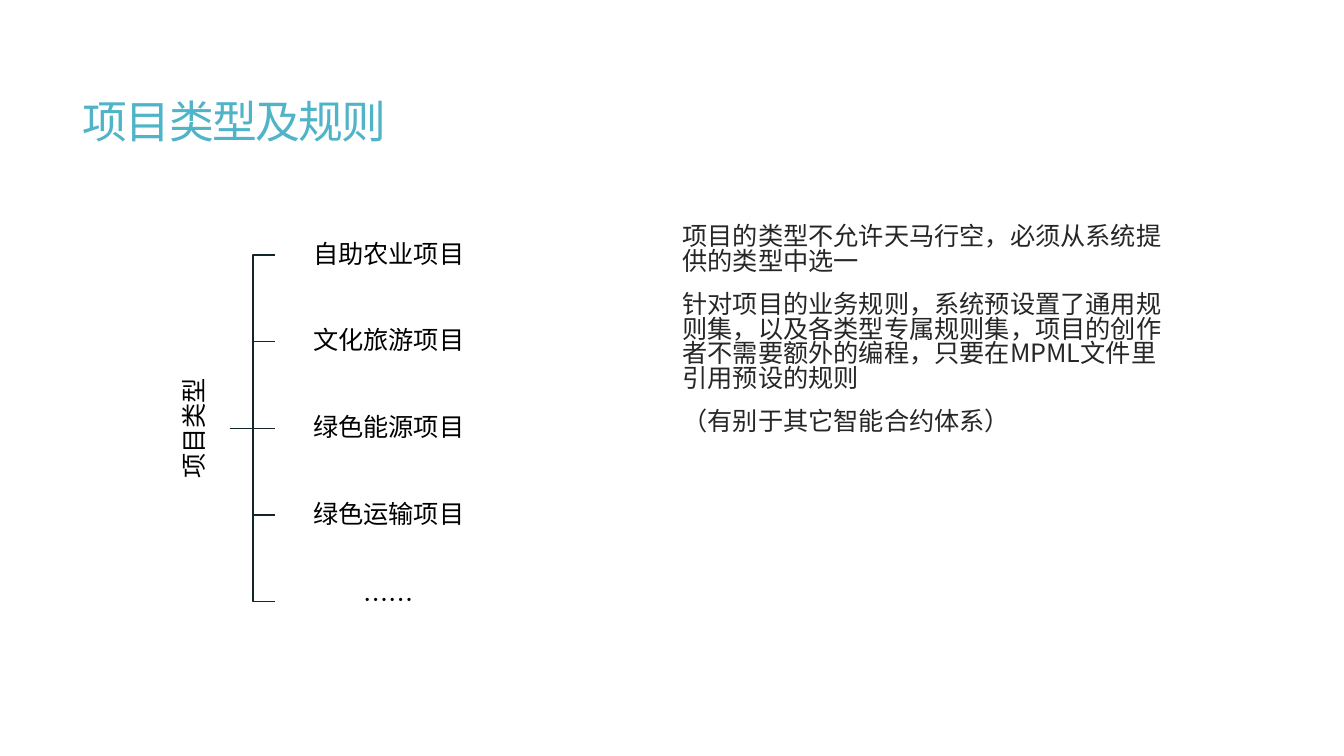
from dataclasses import dataclass

from lxml.etree import SubElement
from pptx import Presentation
from pptx.dml.color import RGBColor
from pptx.enum.shapes import MSO_CONNECTOR, MSO_SHAPE
from pptx.enum.text import MSO_ANCHOR, PP_ALIGN
from pptx.oxml.ns import qn
from pptx.shapes.autoshape import Shape
from pptx.slide import Slide
from pptx.text.text import _Paragraph
from pptx.util import Inches, Pt


@dataclass(frozen=True)
class Theme:
    font: str = "Noto Sans CJK SC"
    title: RGBColor = RGBColor(0x50, 0xB4, 0xC8)
    body: RGBColor = RGBColor(0x26, 0x26, 0x26)
    label: RGBColor = RGBColor(0, 0, 0)
    line: RGBColor = RGBColor(0x12, 0x26, 0x29)
    box: RGBColor = RGBColor(0xFF, 0xFF, 0xFF)
    title_size: int = 32
    text_size: int = 18


@dataclass(frozen=True)
class Node:
    text: str
    left: float
    top: float
    width: float
    height: float
    rotation: int = 0


THEME = Theme()

# Tree geometry in inches
ROOT_X, SPINE_X, LEAF_X = 2.28, 2.51, 2.73
MIDDLE_Y, STEP, NODE_H = 4.25, 0.86, 0.69
LEAF_W, ROOT_W = 2.25, 3.61

TYPES = ["自助农业项目", "文化旅游项目", "绿色能源项目", "绿色运输项目", "……"]
MIDDLE = len(TYPES) // 2
RULES = [
    "项目的类型不允许天马行空，必须从系统提供的类型中选一",
    "针对项目的业务规则，系统预设置了通用规则集，以及各类型专属规则集，"
    "项目的创作者不需要额外的编程，只要在MPML文件里引用预设的规则",
    "（有别于其它智能合约体系）",
]


def add_run(p: _Paragraph, text: str, size: int, color: RGBColor) -> None:
    r = p.add_run()
    r.text = text
    r.font.size = Pt(size)
    r.font.name = THEME.font
    r.font.color.rgb = color
    rPr = r.font._element
    SubElement(rPr, qn("a:ea")).set("typeface", THEME.font)


def add_node(s: Slide, node: Node) -> Shape:
    sp = s.shapes.add_shape(
        MSO_SHAPE.RECTANGLE, Inches(node.left), Inches(node.top),
        Inches(node.width), Inches(node.height))
    sp.rotation = node.rotation
    sp.shadow.inherit = False
    sp.fill.solid()
    sp.fill.fore_color.rgb = THEME.box
    sp.line.fill.background()
    tf = sp.text_frame
    tf.word_wrap = True
    tf.vertical_anchor = MSO_ANCHOR.MIDDLE
    tf.margin_left = tf.margin_right = tf.margin_top = tf.margin_bottom = Inches(0.01)
    p = tf.paragraphs[0]
    p.alignment = PP_ALIGN.CENTER
    p.line_spacing = 0.9
    add_run(p, node.text, THEME.text_size, THEME.label)
    return sp


def add_branch(s: Slide, y: float) -> None:
    points = [(SPINE_X, MIDDLE_Y), (SPINE_X, y), (LEAF_X, y)]
    fb = s.shapes.build_freeform(Inches(ROOT_X), Inches(MIDDLE_Y))
    fb.add_line_segments([(Inches(px), Inches(py)) for px, py in points], close=False)
    sp = fb.convert_to_shape()
    sp.shadow.inherit = False
    sp.fill.background()
    sp.line.color.rgb = THEME.line
    sp.line.width = Pt(1)


def add_stem(s: Slide, root: Shape, leaf: Shape) -> None:
    cxn = s.shapes.add_connector(
        MSO_CONNECTOR.STRAIGHT, Inches(ROOT_X), Inches(MIDDLE_Y),
        Inches(LEAF_X), Inches(MIDDLE_Y))
    cxn.begin_connect(root, 2)
    cxn.end_connect(leaf, 1)
    # The root is turned, so its bottom side faces right
    cxn.begin_x, cxn.begin_y = Inches(ROOT_X), Inches(MIDDLE_Y)
    cxn.end_x, cxn.end_y = Inches(LEAF_X), Inches(MIDDLE_Y)
    cxn.line.color.rgb = THEME.line
    cxn.line.width = Pt(1)
    SubElement(cxn._element.spPr, qn("a:effectLst"))


def add_title(s: Slide, text: str) -> None:
    sp = s.shapes.title
    sp.left, sp.top = Inches(0.72), Inches(0.55)
    sp.width, sp.height = Inches(11.78), Inches(1.37)
    tf = sp.text_frame
    tf.vertical_anchor = MSO_ANCHOR.MIDDLE
    p = tf.paragraphs[0]
    p.alignment = PP_ALIGN.LEFT
    p.line_spacing = 0.85
    add_run(p, text, THEME.title_size, THEME.title)
    p.runs[0].font._element.set("spc", "-120")


def add_rules(s: Slide, rules: list[str]) -> None:
    sp = s.shapes.add_textbox(Inches(6.57), Inches(2.19), Inches(5.1), Inches(4.12))
    tf = sp.text_frame
    tf.word_wrap = True
    for i, rule in enumerate(rules):
        p = tf.add_paragraph() if i else tf.paragraphs[0]
        p.line_spacing = 0.82
        p.space_before = Pt(13 if i else 0)
        p._p.get_or_add_pPr().set("marL", str(Inches(0.1)))
        add_run(p, rule, THEME.text_size, THEME.body)


def main() -> None:
    prs = Presentation()
    prs.slide_width, prs.slide_height = Inches(13.33), Inches(7.5)
    s = prs.slides.add_slide(prs.slide_layouts[5])
    add_title(s, "项目类型及规则")

    # Project type tree
    root = add_node(s, Node("项目类型", ROOT_X - (ROOT_W + NODE_H) / 2,
                            MIDDLE_Y - NODE_H / 2, ROOT_W, NODE_H, 270))
    for i, name in enumerate(TYPES):
        y = MIDDLE_Y + (i - MIDDLE) * STEP
        leaf = add_node(s, Node(name, LEAF_X, y - NODE_H / 2, LEAF_W, NODE_H))
        if i == MIDDLE:
            add_stem(s, root, leaf)
        else:
            add_branch(s, y)

    # Rules beside the tree
    add_rules(s, RULES)
    prs.save("out.pptx")


if __name__ == "__main__":
    main()
